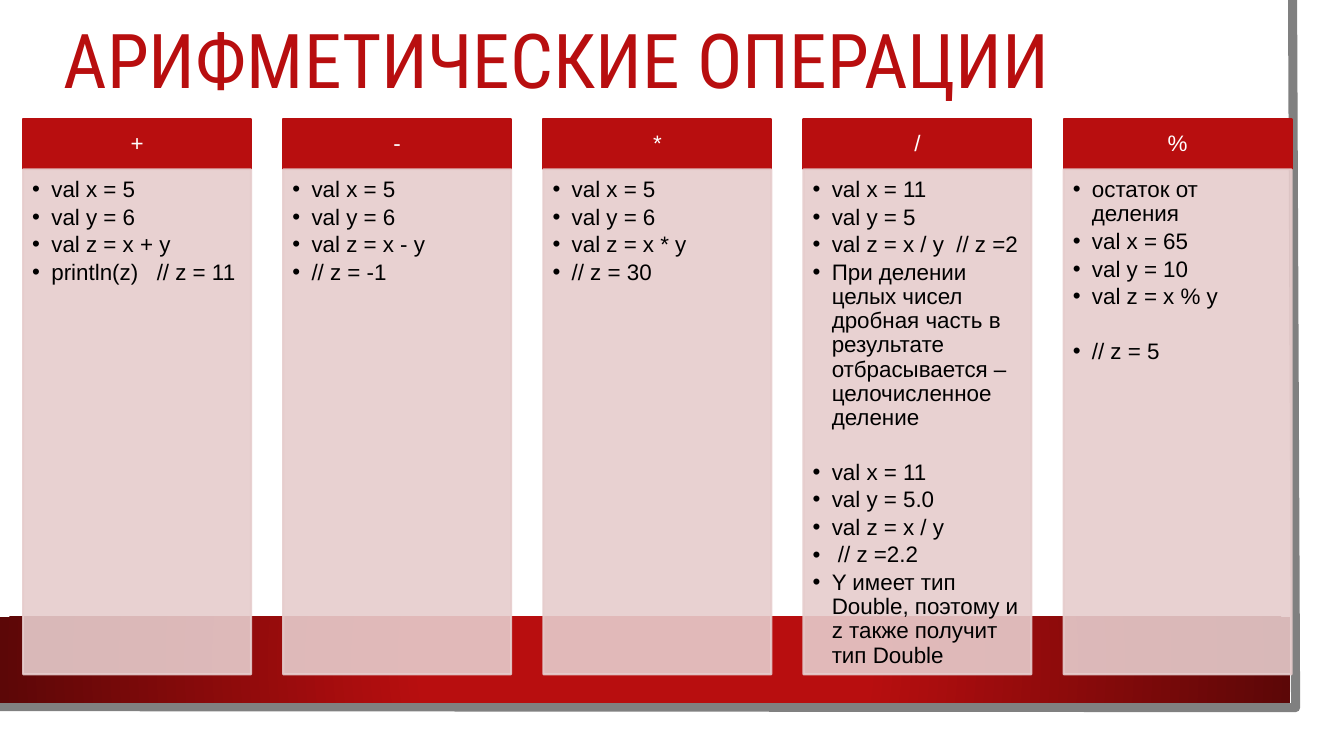
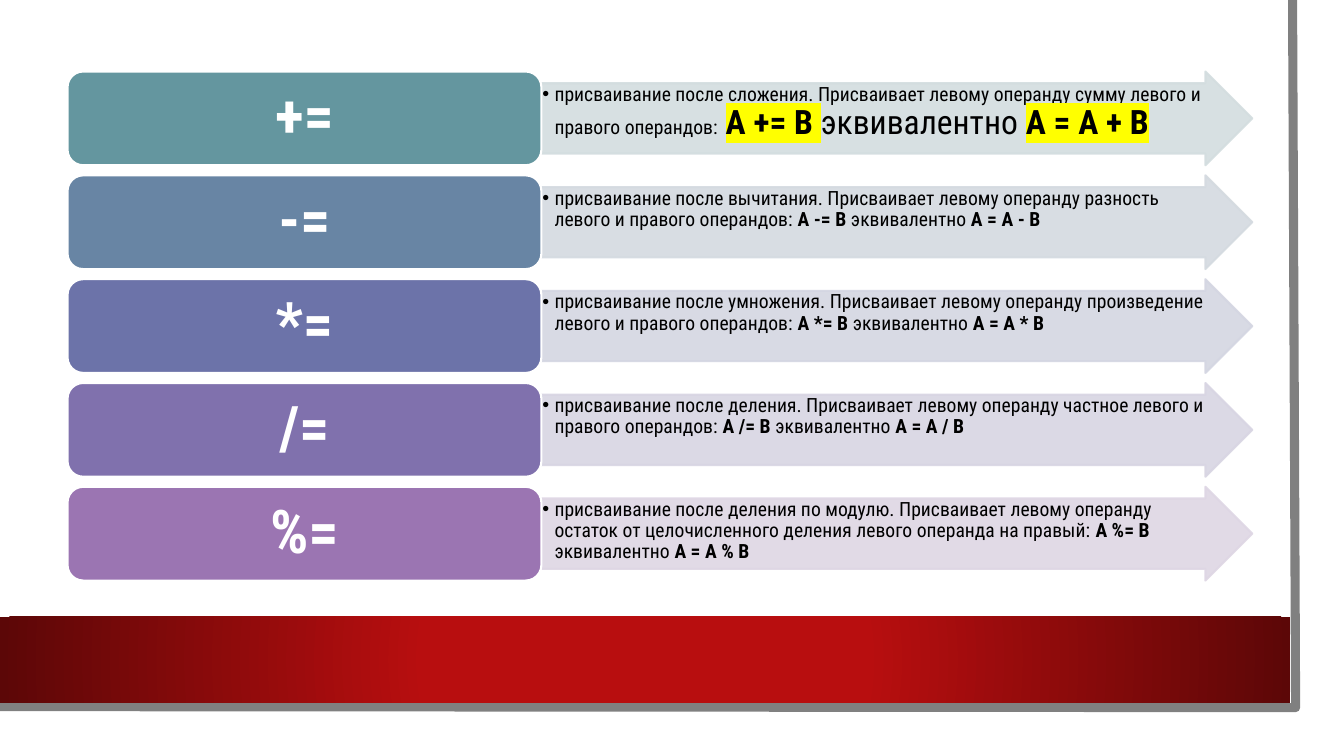
import pptx
import pptx.dml.color
import pptx.enum.shapes
import pptx.enum.text
import pptx.oxml
import pptx.oxml.ns
import pptx.util
from lxml import etree
from pptx.util import Inches

SHAPE = pptx.enum.shapes.MSO_SHAPE
ALIGN = pptx.enum.text.PP_ALIGN
ANCHOR = pptx.enum.text.MSO_ANCHOR
qn = pptx.oxml.ns.qn

RED, DARK_RED, PINK = "B80E0F", "5C0707", "E6CCCC"
WHITE, BLACK, GRAY, YELLOW = "FFFFFF", "000000", "808080", "FFFF00"
HEADING_FONT, BODY_FONT = "Roboto Condensed", "Arial"

COLUMNS = [
    ("+", ["val x = 5", "val y = 6", "val z = x + y", "println(z)   // z = 11"]),
    ("-", ["val x = 5", "val y = 6", "val z = x - y", "// z = -1"]),
    ("*", ["val x = 5", "val y = 6", "val z = x * y", "// z = 30"]),
    ("/", ["val x = 11", "val y = 5", "val z = x / y  // z =2",
           "При делении целых чисел дробная часть в результате отбрасывается – "
           "целочисленное деление",
           "val x = 11", "val y = 5.0", "val z = x / y", " // z =2.2",
           "Y имеет тип Double, поэтому и z также получит тип Double"]),
    ("%", ["остаток от деления", "val x = 65", "val y = 10", "val z = x % y", "// z = 5"]),
]
GAP_BEFORE = {("/", 4), ("%", 4)}

ASSIGNMENTS = [
    ("+", "сложения", "сумму левого и правого операндов", "64969F", "D3DDDF"),
    ("-", "вычитания", "разность левого и правого операндов", "6885A4", "D4DAE0"),
    ("*", "умножения", "произведение левого и правого операндов", "6C73A9", "D4D6E2"),
    ("/", "деления", "частное левого и правого операндов", "8071AD", "D8D5E3"),
    ("%", "деления по модулю",
     "остаток от целочисленного деления левого операнда на правый", "9B75B2", "DED6E4"),
]


def color(value):
    return pptx.dml.color.RGBColor.from_string(value)


class Deck:
    """Holds the presentation, its style and the current slide."""

    def __init__(self):
        self.presentation = pptx.Presentation()
        self.presentation.slide_width = Inches(13.33)
        self.presentation.slide_height = Inches(7.5)
        self.slide = None

    def add_slide(self, title=None):
        layout = self.presentation.slide_layouts[5 if title else 6]
        self.slide = self.presentation.slides.add_slide(layout)
        self.add_edge()
        self.add_band()
        if title:
            self.set_title(title)

    def add_edge(self):
        builder = self.slide.shapes.build_freeform(Inches(12.82), 0)
        corners = [(Inches(12.85), Inches(7.02)), (Inches(-0.03), Inches(7.01))]
        builder.add_line_segments(corners, close=False)
        edge = builder.convert_to_shape()
        edge.shadow.inherit = False
        edge.fill.background()
        edge.line.color.rgb = color(GRAY)
        edge.line.width = pptx.util.Pt(6.5)

    def add_band(self):
        band = self.add_box(SHAPE.RECTANGLE, 0, 6.12, 12.8, 0.85, RED)
        gradient = pptx.oxml.parse_xml(
            f'<a:gradFill {pptx.oxml.ns.nsdecls("a")} rotWithShape="1"><a:gsLst>'
            f'<a:gs pos="34000"><a:srgbClr val="{RED}"/></a:gs>'
            f'<a:gs pos="100000"><a:srgbClr val="{DARK_RED}"/></a:gs></a:gsLst>'
            '<a:path path="circle"><a:fillToRect l="50000" t="50000" r="50000" b="50000"/>'
            '</a:path></a:gradFill>')
        properties = band.element.spPr
        properties.replace(properties.find(qn("a:solidFill")), gradient)

    def set_title(self, text):
        title = self.slide.shapes.title
        title.left, title.top = Inches(0.53), Inches(0.01)
        title.width, title.height = Inches(11.37), Inches(1.26)
        frame = title.text_frame
        frame.text = text
        frame.word_wrap = True
        frame.vertical_anchor = ANCHOR.MIDDLE
        self.format_paragraph(frame.paragraphs[0], HEADING_FONT, 54, RED)

    def add_box(self, kind, left, top, width, height, fill, line=None, opacity=100):
        shape = self.slide.shapes.add_shape(
            kind, Inches(left), Inches(top), Inches(width), Inches(height))
        shape.shadow.inherit = False
        shape.fill.solid()
        shape.fill.fore_color.rgb = color(fill)
        if line:
            shape.line.color.rgb = color(line)
            shape.line.width = pptx.util.Pt(1.5)
        else:
            shape.line.fill.background()
        if opacity < 100:
            for element in shape.element.spPr.iter(qn("a:srgbClr")):
                etree.SubElement(element, qn("a:alpha"), val=str(opacity * 1000))
        return shape

    def prepare_frame(self, shape, insets, anchor):
        frame = shape.text_frame
        frame.word_wrap = True
        frame.vertical_anchor = anchor
        frame.margin_left, frame.margin_top, frame.margin_right, frame.margin_bottom = (
            Inches(inset) for inset in insets)
        return frame

    def format_paragraph(self, paragraph, font, size, text_color, align=ALIGN.LEFT, bold=False):
        paragraph.alignment = align
        paragraph.line_spacing = 0.9
        for run in paragraph.runs:
            run.font.name = font
            run.font.size = pptx.util.Pt(size)
            run.font.bold = bold
            run.font.color.rgb = color(text_color)

    def add_bullet(self, paragraph, indent):
        properties = paragraph._p.get_or_add_pPr()
        properties.set("marL", str(Inches(indent)))
        properties.set("indent", str(Inches(-indent)))
        etree.SubElement(properties, qn("a:buFont"), typeface="Arial")
        etree.SubElement(properties, qn("a:buChar"), char="•")

    def highlight(self, run):
        mark = etree.Element(qn("a:highlight"))
        etree.SubElement(mark, qn("a:srgbClr"), val=YELLOW)
        run.font._element.find(qn("a:solidFill")).addnext(mark)

    def add_label(self, shape, text, insets, font, size, bold=False):
        frame = self.prepare_frame(shape, insets, ANCHOR.MIDDLE)
        frame.text = text
        self.format_paragraph(frame.paragraphs[0], font, size, WHITE, ALIGN.CENTER, bold)

    def add_column(self, left, operator, lines):
        header = self.add_box(SHAPE.RECTANGLE, left, 1.18, 2.26, 0.5, RED, RED)
        self.add_label(header, operator, (0.12, 0.07, 0.12, 0.07), BODY_FONT, 16)
        body = self.add_box(SHAPE.RECTANGLE, left, 1.68, 2.26, 5.01, PINK, PINK, 90)
        frame = self.prepare_frame(body, (0.09, 0.09, 0.12, 0.14), ANCHOR.TOP)
        frame.text = "\n".join(lines)
        for index, paragraph in enumerate(frame.paragraphs):
            self.format_paragraph(paragraph, BODY_FONT, 16, BLACK)
            paragraph.space_after = pptx.util.Pt(2.4)
            if (operator, index) in GAP_BEFORE:
                paragraph.space_before = pptx.util.Pt(19.6)
            self.add_bullet(paragraph, 0.19)

    def add_assignment(self, top, operator, action, result, fill, tint, emphasized):
        arrow = self.add_box(SHAPE.RIGHT_ARROW, 5.37, top, 7.05, 0.93, tint, tint, 90)
        arrow.adjustments[0], arrow.adjustments[1] = 0.75, 0.5
        frame = self.prepare_frame(arrow, (0.01,) * 4, ANCHOR.TOP)
        paragraph = frame.paragraphs[0]
        pieces = [
            f"присваивание после {action}. Присваивает левому операнду {result}:",
            " ", f"A {operator}= B", " ", "эквивалентно ", f"A = A {operator} B"]
        for piece in pieces:
            paragraph.add_run().text = piece
        self.format_paragraph(paragraph, HEADING_FONT, 14, BLACK)
        self.add_bullet(paragraph, 0.12)
        runs = paragraph.runs
        runs[2].font.bold = runs[5].font.bold = True
        if emphasized:
            for run in runs[1:]:
                run.font.size = pptx.util.Pt(24)
            for run in (runs[2], runs[3], runs[5]):
                self.highlight(run)
        label = self.add_box(SHAPE.ROUNDED_RECTANGLE, 0.67, top, 4.7, 0.93, fill, WHITE)
        self.add_label(label, f"{operator}=", (0.18, 0.09, 0.18, 0.09), HEADING_FONT, 43, True)


def main():
    deck = Deck()
    deck.add_slide("АРИФМЕТИЧЕСКИЕ ОПЕРАЦИИ")
    for index, (operator, lines) in enumerate(COLUMNS):
        deck.add_column(0.23 + 2.58 * index, operator, lines)

    deck.add_slide()
    for index, assignment in enumerate(ASSIGNMENTS):
        deck.add_assignment(0.71 + 1.03 * index, *assignment, emphasized=index == 0)
    deck.presentation.save("out.pptx")


if __name__ == "__main__":
    main()
